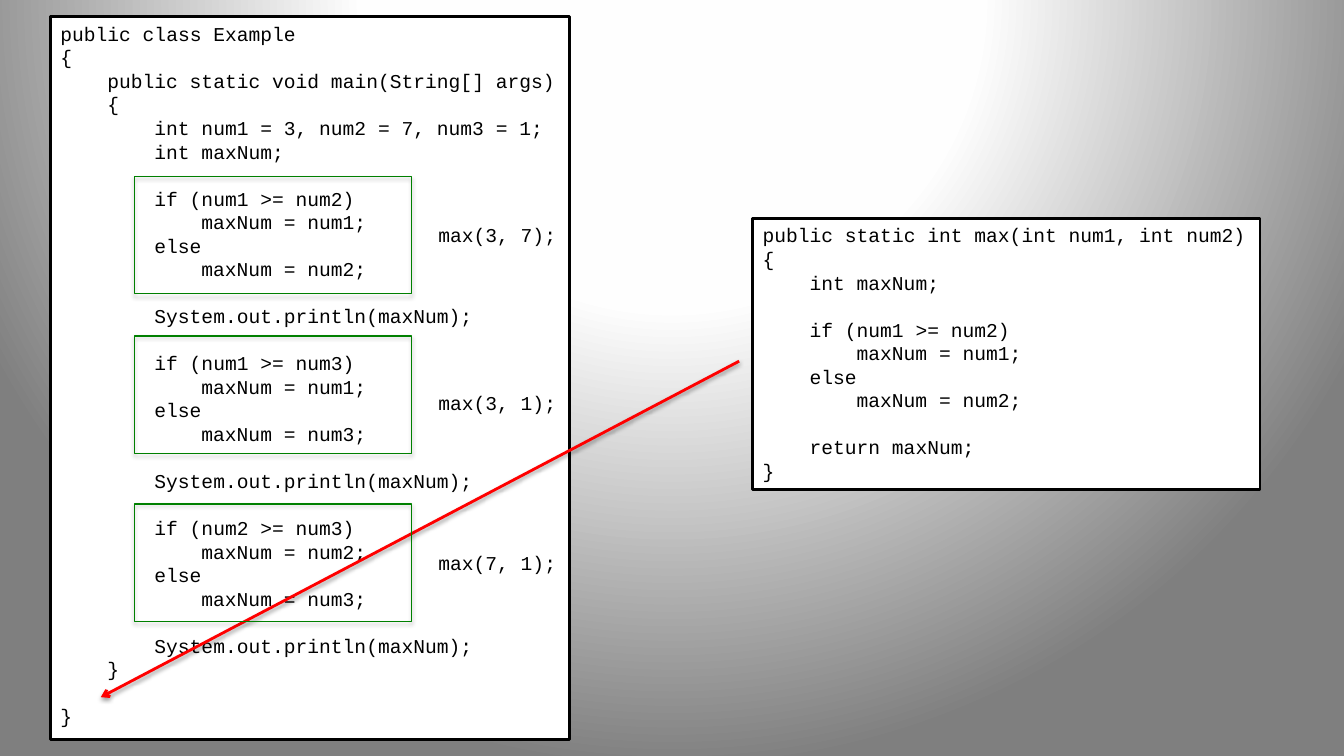
from lxml import etree
from pptx import Presentation
from pptx import util as u
from pptx.dml.color import RGBColor
from pptx.enum import shapes, text
from pptx.oxml import parse_xml
from pptx.oxml.ns import nsdecls, qn

COLUMNS, ROWS = 160, 90
CELL = u.Inches(1) // 12
CODE_FONT, CODE_SIZE = "Courier New", 14
CHARACTER_WIDTH = CODE_SIZE * 0.6
LINE_HEIGHT = CODE_SIZE * 1.2

COMPARISON = """
        if ({a} >= {b})
            maxNum = {a};
        else
            maxNum = {b};

        System.out.println(maxNum);
"""
PROGRAM_START = """public class Example
{
    public static void main(String[] args)
    {
        int num1 = 3, num2 = 7, num3 = 1;
        int maxNum;
"""
PROGRAM_END = """    }

}"""
MAX_METHOD = """public static int max(int num1, int num2)
{
    int maxNum;

    if (num1 >= num2)
        maxNum = num1;
    else
        maxNum = num2;

    return maxNum;
}"""
PAIRS = [("num1", "num2"), ("num1", "num3"), ("num2", "num3")]
# Row of the highlight, row of the call, call
CALLS = [(21, 26, "max(3, 7);"), (40, 46, "max(3, 1);"), (60, 65, "max(7, 1);")]


def grid(*cells):
    """Turn grid columns and rows into lengths."""
    return [u.Emu(round(cell * CELL)) for cell in cells]


def color(hex_string):
    """Return the colour for a hex string."""
    return RGBColor.from_string(hex_string)


def set_line(line, hex_string, points):
    """Set a line's colour and width."""
    line.color.rgb = color(hex_string)
    line.width = u.Pt(points)


def cast_shadow(element, opacity, distance):
    """Give a shape or connector a soft shadow straight below it."""
    properties = element.spPr
    for effects in properties.findall(qn("a:effectLst")):
        properties.remove(effects)
    effects = etree.SubElement(properties, qn("a:effectLst"))
    shadow = etree.SubElement(effects, qn("a:outerShdw"), blurRad=str(u.Pt(3.1)),
                              dist=str(u.Pt(distance)), dir="5400000", rotWithShape="0")
    black = etree.SubElement(shadow, qn("a:srgbClr"), val="000000")
    etree.SubElement(black, qn("a:alpha"), val=str(opacity * 1000))


def paint_background(slide):
    """Fill the background with a circular gradient from white to grey."""
    slide.background.fill.solid()
    properties = slide.background._cSld.bg.bgPr
    stops = "".join(
        f'<a:gs pos="{share * 1000}"><a:srgbClr val="{shade}"/></a:gs>'
        for share, shade in [(0, "FFFFFF"), (40, "FEFEFE"), (100, "7F7F7F")])
    gradient = parse_xml(
        f'<a:gradFill {nsdecls("a")} rotWithShape="1"><a:gsLst>{stops}</a:gsLst>'
        '<a:path path="circle"><a:fillToRect l="50000" t="-80000" r="50000" b="180000"/>'
        '</a:path></a:gradFill>')
    properties.replace(properties[0], gradient)


def write_code(frame, code):
    """Write code lines, with indents and paragraph gaps for its white space."""
    frame.vertical_anchor = text.MSO_ANCHOR.TOP
    gap = 0
    paragraph = frame.paragraphs[0]
    for line in code.splitlines():
        statement = line.strip()
        if not statement:
            gap += LINE_HEIGHT
            continue
        if paragraph.text:
            paragraph = frame.add_paragraph()
        paragraph.text = statement
        paragraph.alignment = text.PP_ALIGN.LEFT
        paragraph.space_before = u.Pt(gap)
        paragraph.font.name = CODE_FONT
        paragraph.font.size = u.Pt(CODE_SIZE)
        paragraph.font.color.rgb = color("000000")
        indent = (len(line) - len(line.lstrip())) * CHARACTER_WIDTH
        paragraph._p.get_or_add_pPr().set("marL", str(u.Pt(indent)))
        gap = 0


def add_code_panel(slide, cells, code):
    """Add a white, black-edged panel of code."""
    panel = slide.shapes.add_shape(shapes.MSO_SHAPE.RECTANGLE, *grid(*cells))
    panel.shadow.inherit = False
    panel.fill.solid()
    panel.fill.fore_color.rgb = color("FFFFFF")
    set_line(panel.line, "000000", 2)
    panel.text_frame.word_wrap = True
    write_code(panel.text_frame, code)


def add_highlight(slide, row):
    """Frame one comparison in green."""
    highlight = slide.shapes.add_shape(shapes.MSO_SHAPE.RECTANGLE, *grid(16, row, 33, 14))
    highlight.fill.background()
    set_line(highlight.line, "008000", 0.75)
    cast_shadow(highlight._element, 35, 1.8)


def add_call(slide, row, call):
    """Write the method call that replaces a comparison."""
    label = slide.shapes.add_textbox(*grid(51, row, 16.5, 4))
    label.text_frame.word_wrap = False
    write_code(label.text_frame, call)


def add_arrow(slide, cells):
    """Draw the red arrow from the method to its place in the class."""
    arrow = slide.shapes.add_connector(shapes.MSO_CONNECTOR.STRAIGHT, *grid(*cells))
    set_line(arrow.line, "FF0000", 2)
    etree.SubElement(arrow.line._get_or_add_ln(), qn("a:tailEnd"), type="arrow")
    cast_shadow(arrow._element, 38, 1.6)


def main():
    """Build the slide and save it."""
    deck = Presentation()
    deck.slide_width, deck.slide_height = grid(COLUMNS, ROWS)
    slide = deck.slides.add_slide(deck.slide_layouts[6])
    paint_background(slide)
    comparisons = "".join(COMPARISON.format(a=a, b=b) for a, b in PAIRS)
    add_code_panel(slide, (6, 2, 61.8, 86), PROGRAM_START + comparisons + PROGRAM_END)
    add_code_panel(slide, (89.6, 26, 60.4, 32.3), MAX_METHOD)
    add_arrow(slide, (88, 43, 12, 83))
    for highlight_row, _, _ in CALLS:
        add_highlight(slide, highlight_row)
    for _, call_row, call in CALLS:
        add_call(slide, call_row, call)
    deck.save("out.pptx")


main()
